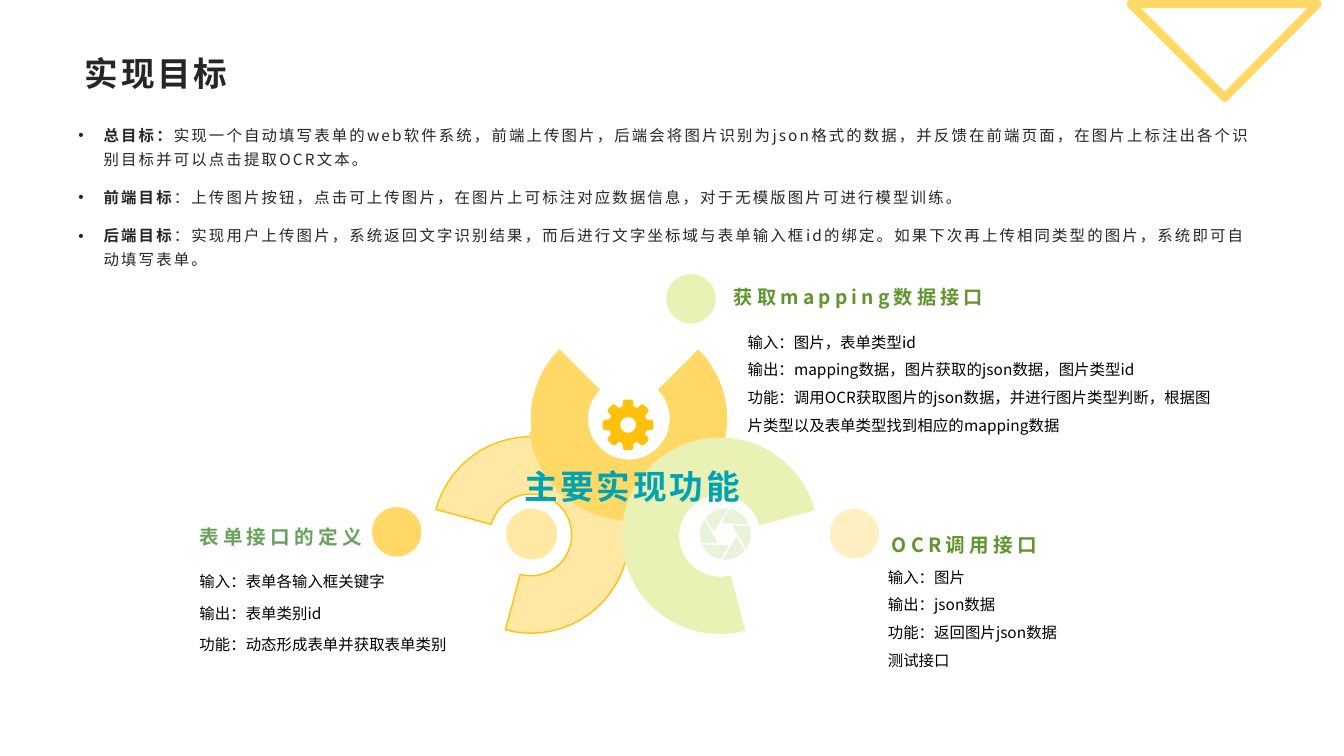
import math

import pptx
import pptx.dml.color
import pptx.enum.shapes
import pptx.enum.text
import pptx.oxml.ns
import pptx.util
from lxml import etree

Pt = pptx.util.Pt
ALIGN = pptx.enum.text.PP_ALIGN
ANCHOR = pptx.enum.text.MSO_ANCHOR

COLORS = {
    "yellow": "FFD865", "amber": "FFC10C", "cream": "FFE8A3", "pale": "FFEFC1",
    "lime": "E9F1B4", "mint": "E7F4DA", "green": "60952E", "sage": "69A35B",
    "teal": "00A3B2", "dark": "262626", "black": "000000",
}
CJK_FONT = "Noto Sans CJK SC"
TITLE_INSETS = (7.9, 2.9, 5.8, 2.9)
HEADING_INSETS = (7.2, 3.6, 7.2, 0)
DETAIL_INSETS = (7.2, 0, 7.2, 3.6)


def polar(radius, degrees):
    angle = math.radians(degrees)
    return radius * math.cos(angle), radius * math.sin(angle)


def arc(radius, start, end, steps=48):
    return [polar(radius, start + (end - start) * i / steps) for i in range(steps + 1)]


def ring_sector(outer, inner, start, end):
    return [arc(outer, start, end) + arc(inner, end, start)]


class SlideBuilder:
    def __init__(self, slide):
        self.slide = slide
        self.shapes = slide.shapes

    def color(self, name):
        return pptx.dml.color.RGBColor.from_string(COLORS[name])

    def style(self, shape, fill=None, line=None, width=1):
        shape.shadow.inherit = False
        if fill:
            shape.fill.solid()
            shape.fill.fore_color.rgb = self.color(fill)
        else:
            shape.fill.background()
        if line:
            shape.line.color.rgb = self.color(line)
            shape.line.width = Pt(width)
        else:
            shape.line.fill.background()

    def outline(self, contours, center=None, rotation=0, **style):
        """Closed contours in points, optionally centred and then rotated."""
        builder = None
        for contour in contours:
            points = [(Pt(x), Pt(y)) for x, y in contour]
            if builder is None:
                builder = self.shapes.build_freeform(*points[0], scale=1.0)
            else:
                builder.move_to(*points[0])
            builder.add_line_segments(points[1:], close=True)
        shape = builder.convert_to_shape()
        if center:
            shape.left = Pt(center[0]) - shape.width // 2
            shape.top = Pt(center[1]) - shape.height // 2
        shape.rotation = rotation
        self.style(shape, **style)

    def dot(self, left, top, fill, size=35.3):
        oval = pptx.enum.shapes.MSO_SHAPE.OVAL
        shape = self.shapes.add_shape(oval, Pt(left), Pt(top), Pt(size), Pt(size))
        self.style(shape, fill)

    def font(self, font, size, color, bold, tracking, latin):
        font.size = Pt(size)
        font.color.rgb = self.color(color)
        font.bold = bold
        font.name = latin
        properties = font._rPr
        if tracking:
            properties.set("spc", str(round(tracking * 100)))
        east_asian = etree.Element(pptx.oxml.ns.qn("a:ea"), typeface=CJK_FONT)
        properties.find(pptx.oxml.ns.qn("a:latin")).addnext(east_asian)

    def text(self, box, lines, size, color, bold=False, tracking=0, latin=CJK_FONT,
             insets=DETAIL_INSETS, spacing=None, anchor=ANCHOR.TOP, align=None,
             bullets=False):
        """A line is a string, or a (bold lead, plain rest) pair."""
        frame = self.shapes.add_textbox(*map(Pt, box)).text_frame
        frame.word_wrap = True
        frame.vertical_anchor = anchor
        (frame.margin_left, frame.margin_top,
         frame.margin_right, frame.margin_bottom) = map(Pt, insets)
        for i, line in enumerate(lines):
            paragraph = frame.paragraphs[0] if i == 0 else frame.add_paragraph()
            paragraph.alignment = align
            paragraph.line_spacing = spacing
            if bullets:
                self.bullet(paragraph)
            if isinstance(line, str):
                paragraph.add_run().text = line
                self.font(paragraph.font, size, color, bold, tracking, latin)
            else:
                for part, strong in zip(line, (True, False)):
                    run = paragraph.add_run()
                    run.text = part
                    self.font(run.font, size, color, strong, tracking, latin)

    def bullet(self, paragraph):
        paragraph.space_after = Pt(10)
        properties = paragraph._p.get_or_add_pPr()
        properties.set("marL", str(Pt(18)))
        properties.set("indent", str(-Pt(18)))
        for tag, name, value in (("a:buFont", "typeface", "Arial"), ("a:buChar", "char", "•")):
            etree.SubElement(properties, pptx.oxml.ns.qn(tag)).set(name, value)

    def heading(self, box, line, color="green", size=14, align=None):
        self.text(box, [line], size, color, True, 3, insets=HEADING_INSETS,
                  spacing=1.5, anchor=ANCHOR.BOTTOM, align=align)

    def details(self, box, lines, spacing=1.5):
        self.text(box, lines, 11, "black", spacing=spacing)


def main():
    deck = pptx.Presentation()
    deck.slide_width, deck.slide_height = Pt(960), Pt(540)
    page = SlideBuilder(deck.slides.add_slide(deck.slide_layouts[6]))

    # Corner triangle, title and goals
    page.outline([[(807.8, 2.9), (941, 2.9), (874.8, 69.8)]], line="yellow", width=6)
    page.text((52.6, 34.6, 854.6, 34.6), ["实现目标"], 24, "dark", True, 2,
              latin="Arial", insets=TITLE_INSETS)
    goals = [
        ("总目标：", "实现一个自动填写表单的web软件系统，前端上传图片，后端会将图片识别为json格式的数据，"
         "并反馈在前端页面，在图片上标注出各个识别目标并可以点击提取OCR文本。"),
        ("前端目标", "：上传图片按钮，点击可上传图片，在图片上可标注对应数据信息，对于无模版图片可进行模型训练。"),
        ("后端目标", "：实现用户上传图片，系统返回文字识别结果，而后进行文字坐标域与表单输入框id的绑定。"
         "如果下次再上传相同类型的图片，系统即可自动填写表单。"),
    ]
    page.text((48.2, 86.4, 854.6, 424), goals, 11, "dark", tracking=1.5,
              insets=(7.9, 0, 6.5, 0), spacing=1.3, bullets=True)

    # Left and top petals with their icons
    petal = ring_sector(70.2, 29.2, -45, 225)
    page.outline(petal, (388.1, 376.9), 240, fill="cream", line="amber")
    page.outline(petal, (449.2, 309.4), fill="yellow")
    page.dot(361.6, 363.3, "cream", 36.4)

    tooth = [(13.7, -17), (17.7, -11.5), (18.2, -6), (18.2, 6), (17.7, 11.5), (13.7, 17)]
    gear = [polar(r, a + turn) for turn in range(0, 360, 45) for r, a in tooth]
    page.outline([gear, arc(5.6, 360, 0)], (448.6, 303.5), 90, fill="amber")

    # Shutter icon, overlap and right petal
    blades = [arc(18.2, turn - 24, turn - 80, 12) + [polar(8.2, turn - 108)]
              for turn in range(0, 360, 60)]
    page.outline(blades, (518, 381.6), 60, fill="mint")
    overlap = ring_sector(72.7, 31, 226.5, 313.5)
    page.outline(overlap, (420.1, 336.2), 219, fill="yellow")
    page.outline(petal, (505.4, 377.6), 120, fill="lime")

    # Mapping interface
    page.dot(475.9, 195.8, "lime")
    page.heading((517, 191.5, 265.7, 28.8), "获取mapping数据接口", size=13.7)
    page.details((527, 231.1, 347.8, 135.4), [
        "输入：图片，表单类型id",
        "输出：mapping数据，图片获取的json数据，图片类型id",
        "功能：调用OCR获取图片的json数据，并进行图片类型判断，根据图片类型以及表单类型找到相应的mapping数据",
    ])

    # OCR interface
    page.dot(265.7, 362.2, "yellow")
    page.dot(592.6, 363.6, "pale")
    page.heading((630, 362.2, 219.6, 35.3), "OCR调用接口")
    page.details((627.1, 398.9, 219.6, 99.4),
                 ["输入：图片", "输出：json数据", "功能：返回图片json数据", "测试接口"])

    # Form interface
    page.heading((46.1, 356.4, 219.6, 35.3), "表单接口的定义", "sage", align=ALIGN.RIGHT)
    page.details((135.4, 399.6, 219.6, 82.1),
                 ["输入：表单各输入框关键字", "输出：表单类别id", "功能：动态形成表单并获取表单类别"], 1.7)

    # Centre caption
    page.text((366.5, 315.4, 170.6, 49), ["主要实现功能"], 24, "teal", True, 2,
              insets=TITLE_INSETS, spacing=1.5)

    deck.save("out.pptx")


if __name__ == "__main__":
    main()
